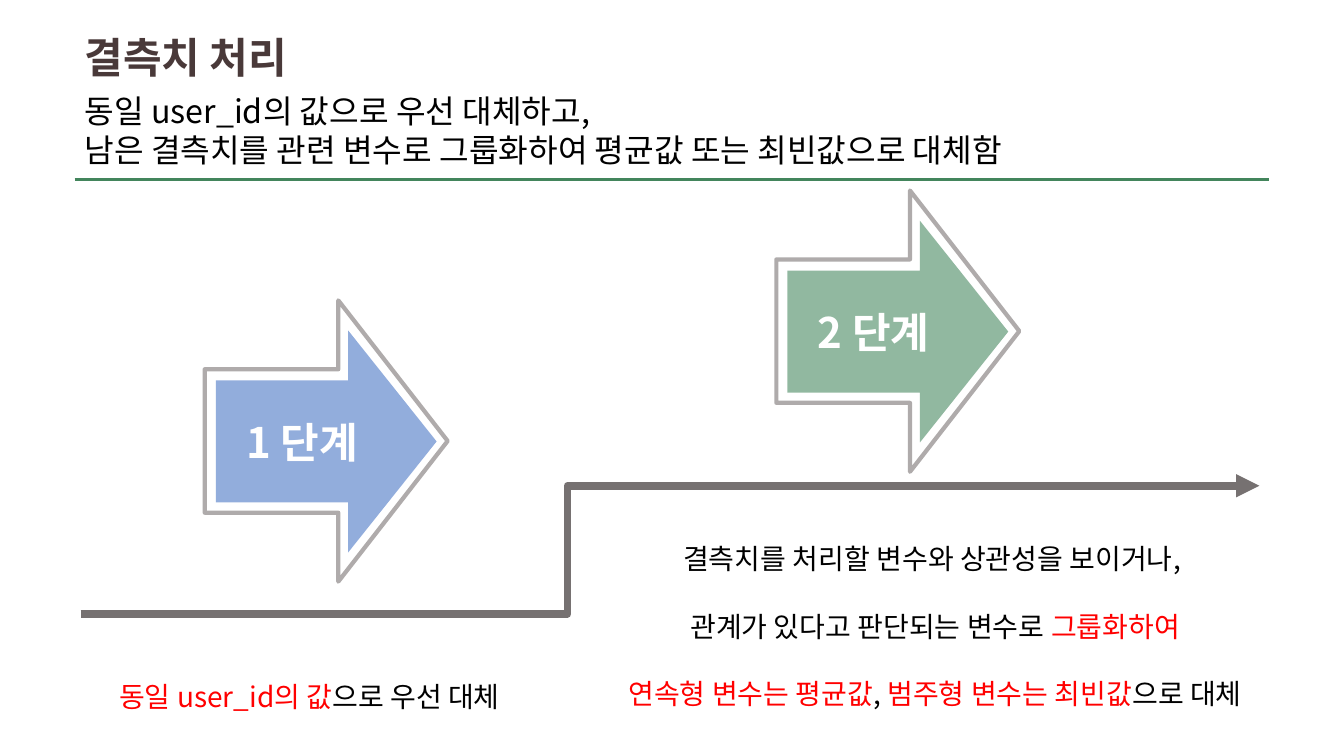
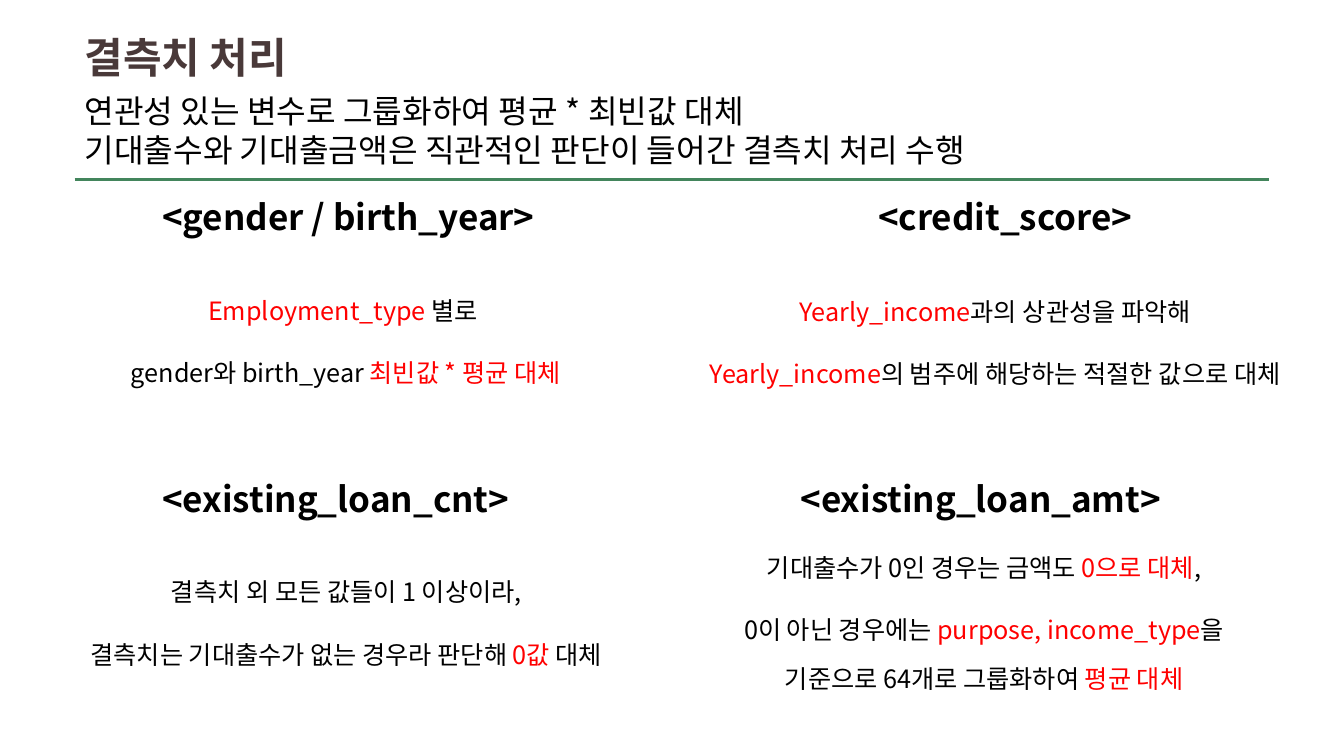
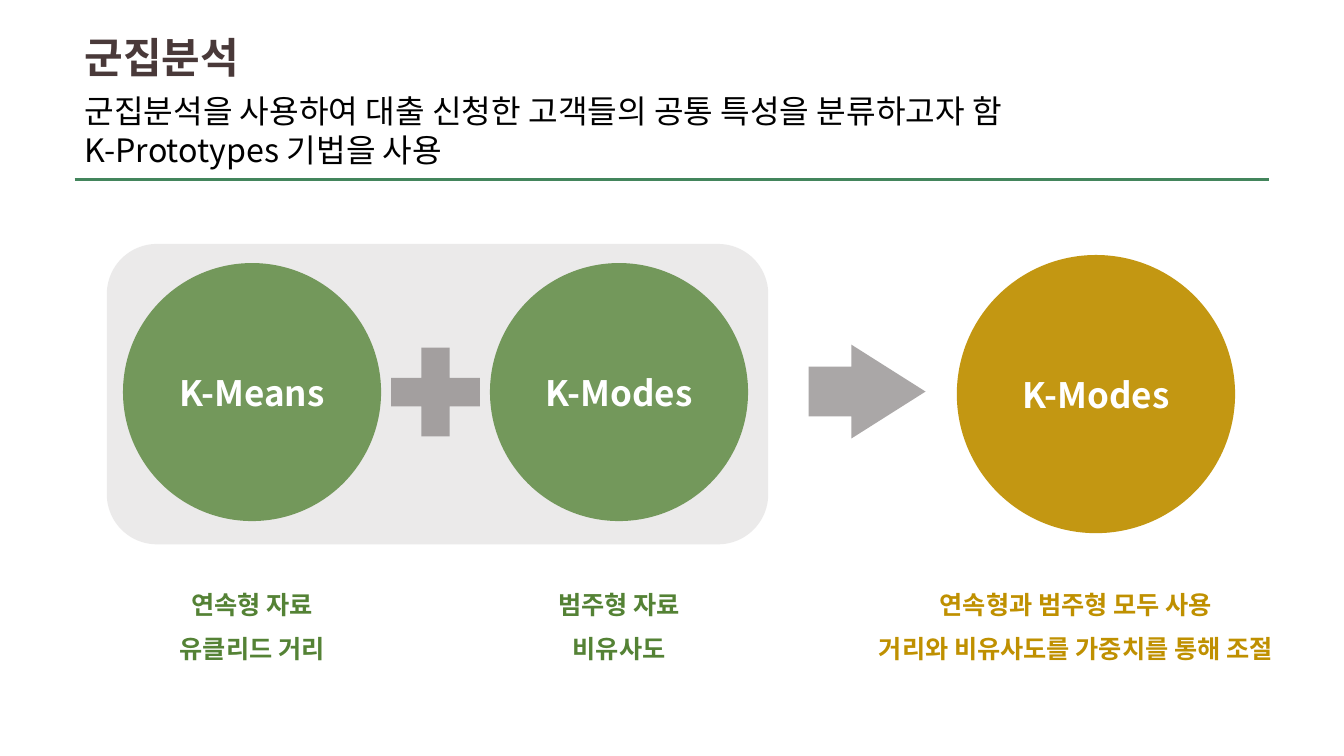
from dataclasses import dataclass

from lxml import etree
from pptx import Presentation
from pptx.dml.color import RGBColor
from pptx.enum import shapes, text
from pptx.oxml.ns import qn
from pptx.util import Inches, Pt


@dataclass(frozen=True)
class Theme:
    font: str = "Noto Sans CJK KR"
    title_font: str = "Arial"
    title: str = "493939"
    body: str = "000000"
    accent: str = "FF0000"
    white: str = "FFFFFF"
    green: str = "43855C"
    blue: str = "4472C4"
    leaf: str = "548235"
    gold: str = "BF9000"
    gray: str = "767171"
    outline: str = "AFABAB"
    title_size: float = 30
    subtitle_size: float = 23
    heading_size: float = 25
    step_size: float = 20
    note_size: float = 18


THEME = Theme()
GEOMETRY = shapes.MSO_SHAPE
CENTER = text.PP_ALIGN.CENTER

MISSING = "결측치 처리"
HEADERS = [
    (MISSING, ["동일 user_id의 값으로 우선 대체하고,",
               "남은 결측치를 관련 변수로 그룹화하여 평균값 또는 최빈값으로 대체함"]),
    (MISSING, ["연관성 있는 변수로 그룹화하여 평균 * 최빈값 대체",
               "기대출수와 기대출금액은 직관적인 판단이 들어간 결측치 처리 수행"]),
    ("군집분석", ["군집분석을 사용하여 대출 신청한 고객들의 공통 특성을 분류하고자 함",
              "K-Prototypes 기법을 사용"]),
]

# Text between square brackets takes the accent colour.
STEPS = [  # label, colour, arrow position, note box, note lines
    ("1 단계", THEME.blue, (2.03, 2.98), (0.15, 6.49, 5.84, 0.57),
     ["[동일 user_id의 값]으로 우선 대체"]),
    ("2 단계", THEME.green, (7.7, 1.89), (5.68, 5.12, 7.19, 1.92),
     ["결측치를 처리할 변수와 상관성을 보이거나, ",
      "관계가 있다고 판단되는 변수로 [그룹화하여]",
      "[연속형 변수는 평균값], [범주형 변수는 최빈값]으로 대체"]),
]
VARIABLES = [  # heading, heading position, note box, note lines
    ("<gender / birth_year>", (1.51, 1.89), (0.74, 2.7, 5.38, 1.14),
     ["[Employment_type ]별로 ", "gender와 birth_year [최빈값 * 평균 대체]"]),
    ("<credit_score>", (8.61, 1.89), (6.67, 2.71, 6.4, 1.14),
     ["[Yearly_income]과의 상관성을 파악해",
      "[Yearly_income]의 범주에 해당하는 적절한 값으로 대체"]),
    ("<existing_loan_cnt>", (1.51, 4.69), (0.46, 5.49, 5.95, 1.14),
     ["결측치 외 모든 값들이 1 이상이라,",
      "결측치는 기대출수가 없는 경우라 판단해 [0값] 대체"]),
    ("<existing_loan_amt>", (7.84, 4.69), (7.07, 5.25, 5.38, 1.63),
     ["기대출수가 0인 경우는 금액도 [0으로 대체],",
      "0이 아닌 경우에는 [purpose, income_type]을 기준으로 64개로 그룹화하여 [평균 대체]"]),
]
METHODS = [  # label, colour, opacity, circle (left, top, diameter), caption width, caption
    ("K-Means", THEME.leaf, 79, (1.22, 2.61, 2.56), 2.38, ["연속형 자료", "유클리드 거리"]),
    ("K-Modes", THEME.leaf, 79, (4.86, 2.61, 2.56), 2.38, ["범주형 자료", "비유사도"]),
    ("K-Modes", THEME.gold, 93, (9.49, 2.53, 2.76), 5.1,
     ["연속형과 범주형 모두 사용", "거리와 비유사도를 가중치를 통해 조절"]),
]
CAPTION_SHIFT = {5.1: -0.2}  # the wide caption sits left of its circle's centre


def color(code):
    return RGBColor.from_string(code)


def write(shape, lines, size, ink, bold=False, align=None, font=THEME.font,
          spacing=None, after=None, gap=None):
    """Fill a shape with paragraphs; gap is the space above all but the first."""
    frame = shape.text_frame
    frame.word_wrap = True
    for index, line in enumerate(lines):
        paragraph = frame.paragraphs[0] if index == 0 else frame.add_paragraph()
        paragraph.alignment = align or text.PP_ALIGN.LEFT
        if spacing:
            paragraph.line_spacing = spacing
        if after:
            paragraph.space_after = Pt(after)
        if gap and index:
            paragraph.space_before = Pt(gap)
        paragraph.font.name = font
        paragraph.font.size = Pt(size)
        paragraph.font.bold = bold
        paragraph.font.color.rgb = color(ink)
        east_asian = etree.SubElement(paragraph.font._element, qn("a:ea"))
        east_asian.set("typeface", THEME.font)
        for part, words in enumerate(line.replace("]", "[").split("[")):
            if words:
                run = paragraph.add_run()
                run.text = words
                if part % 2:
                    run.font.color.rgb = color(THEME.accent)


def add_text(slide, box, lines, size, ink=THEME.body, **style):
    shape = slide.shapes.add_textbox(*map(Inches, box))
    write(shape, lines, size, ink, **style)
    shape.text_frame.auto_size = text.MSO_AUTO_SIZE.SHAPE_TO_FIT_TEXT


def add_note(slide, box, lines, size):
    add_text(slide, box, lines, size, align=CENTER, spacing=1.6, after=10)


def add_shape(slide, kind, box, fill=None, opacity=100, line=None, adjust=()):
    shape = slide.shapes.add_shape(kind, *map(Inches, box))
    shape.shadow.inherit = False
    for index, value in enumerate(adjust):
        shape.adjustments[index] = value
    if fill:
        shape.fill.solid()
        shape.fill.fore_color.rgb = color(fill)
        if opacity < 100:
            code = shape._element.spPr.find(qn("a:solidFill"))[0]
            etree.SubElement(code, qn("a:alpha")).set("val", str(opacity * 1000))
    else:
        shape.fill.background()
    if line:
        shape.line.color.rgb = color(line)
        shape.line.width = Pt(3)
    else:
        shape.line.fill.background()
    return shape


def add_label(shape, label, size):
    shape.text_frame.vertical_anchor = text.MSO_ANCHOR.MIDDLE
    write(shape, [label], size, THEME.white, bold=True, align=CENTER)


def add_line(slide, kind, ends, ink, width):
    line = slide.shapes.add_connector(kind, *map(Inches, ends))
    line.line.color.rgb = color(ink)
    line.line.width = Pt(width)
    etree.SubElement(line._element.spPr, qn("a:effectLst"))
    return line


def add_header(slide, title, subtitle):
    add_line(slide, shapes.MSO_CONNECTOR.STRAIGHT, (0.74, 1.78, 12.59, 1.78), THEME.green, 2)
    band = add_shape(slide, GEOMETRY.RECTANGLE, (0.74, 0.26, 8.17, 0.61), THEME.white)
    band.text_frame.vertical_anchor = text.MSO_ANCHOR.TOP
    write(band, [title], THEME.title_size, THEME.title, bold=True, font=THEME.title_font)
    add_text(slide, (0.74, 0.86, 11.85, 0.88), subtitle, THEME.subtitle_size)


def build_steps(slide):
    for label, fill, (left, top), note_box, lines in STEPS:
        arrow = add_shape(slide, GEOMETRY.RIGHT_ARROW, (left + 0.11, top + 0.3, 2.19, 2.2),
                          fill, 58, adjust=(0.55, 0.4))
        add_label(arrow, label, THEME.title_size)
        add_shape(slide, GEOMETRY.RIGHT_ARROW, (left, top, 2.41, 2.79),
                  line=THEME.outline, adjust=(0.51, 0.45))
        add_note(slide, note_box, lines, THEME.step_size)
    stair = add_line(slide, shapes.MSO_CONNECTOR.ELBOW, (0.8, 6.09, 12.49, 4.82),
                     THEME.gray, 5.5)
    guides = stair._element.spPr.find(qn("a:prstGeom")).get_or_add_avLst()
    bend = etree.SubElement(guides, qn("a:gd"))
    bend.set("name", "adj1")
    bend.set("fmla", "val 41300")
    etree.SubElement(stair.line._get_or_add_ln(), qn("a:tailEnd")).set("type", "triangle")


def build_variables(slide):
    for heading, position, note_box, lines in VARIABLES:
        add_text(slide, (*position, 3.98, 0.52), [heading], THEME.heading_size, bold=True)
        add_note(slide, note_box, lines, THEME.note_size)


def build_methods(slide):
    for label, fill, opacity, (left, top, side), width, caption in METHODS:
        circle = add_shape(slide, GEOMETRY.FLOWCHART_CONNECTOR, (left, top, side, side),
                           fill, opacity)
        add_label(circle, label, THEME.heading_size)
        caption_left = left + (side - width) / 2 + CAPTION_SHIFT.get(width, 0)
        add_text(slide, (caption_left, 5.8, width, 0.84), caption, THEME.note_size, fill,
                 bold=True, align=CENTER, gap=9.4)
    add_shape(slide, GEOMETRY.MATH_PLUS, (3.72, 3.29, 1.2, 1.2), THEME.gray, 61)
    add_shape(slide, GEOMETRY.RIGHT_ARROW, (8.02, 3.42, 1.16, 0.93), THEME.gray, 62,
              adjust=(0.53, 0.79))


def build_panel(slide):
    add_shape(slide, GEOMETRY.ROUNDED_RECTANGLE, (1.06, 2.42, 6.56, 2.98), THEME.gray, 14)


def main():
    presentation = Presentation()
    presentation.slide_width, presentation.slide_height = Inches(13.33), Inches(7.5)
    builders = [[build_steps], [build_variables], [build_panel, build_methods]]
    for (title, subtitle), parts in zip(HEADERS, builders):
        slide = presentation.slides.add_slide(presentation.slide_layouts[6])
        add_header(slide, title, subtitle)
        for build in parts:
            build(slide)
    presentation.save("out.pptx")


if __name__ == "__main__":
    main()
